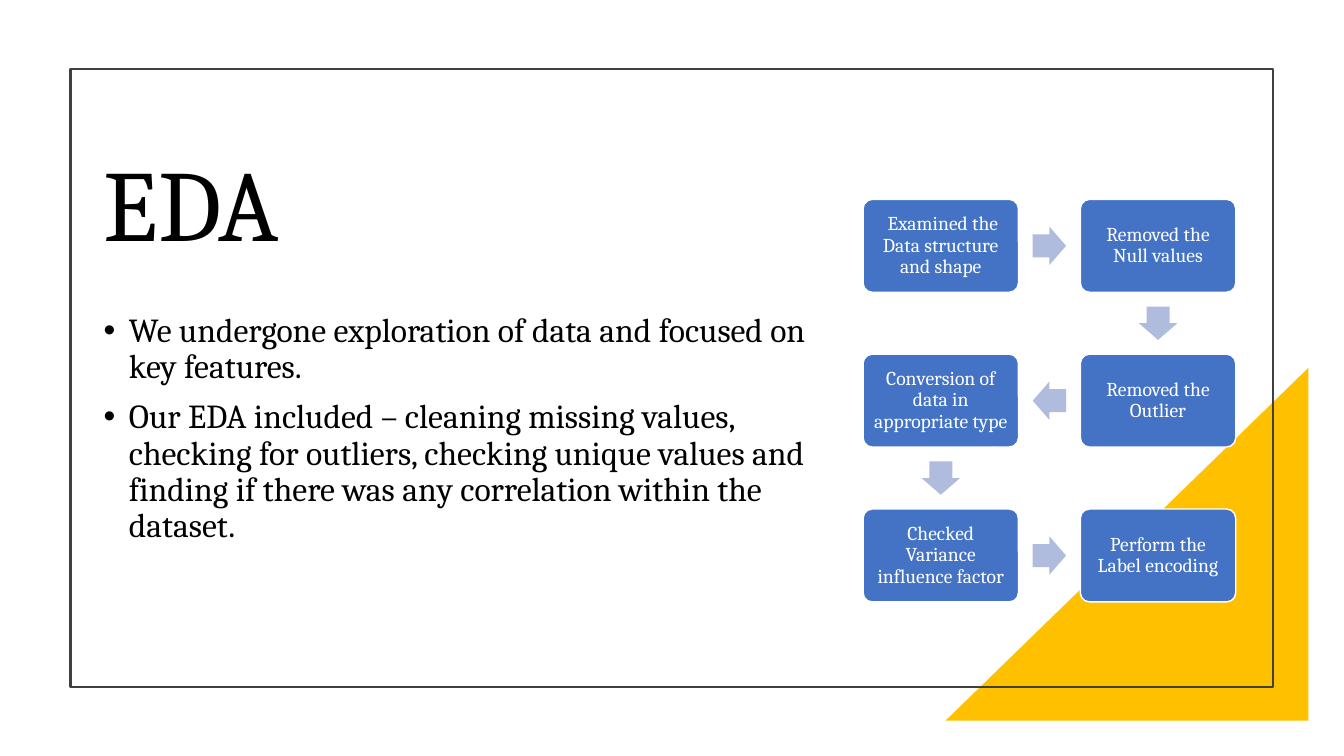
from itertools import pairwise
from pptx import Presentation
from pptx.dml.color import RGBColor
from pptx.enum.shapes import MSO_SHAPE
from pptx.enum.text import MSO_ANCHOR, PP_ALIGN
from pptx.oxml import parse_xml
from pptx.oxml.ns import nsdecls
from pptx.util import Pt


def paint(fmt, hue):
    fmt.solid()
    fmt.fore_color.rgb = RGBColor.from_string(hue)


def write(para, text, size, hue):
    para.text = text
    para.line_spacing = 0.9
    para.font.name = "Cambria"
    para.font.size = Pt(size)
    para.font.color.rgb = RGBColor.from_string(hue)


deck = Presentation()
deck.slide_width, deck.slide_height = Pt(960), Pt(540)
slide = deck.slides.add_slide(deck.slide_layouts[6])
shapes = slide.shapes

wedge = shapes.add_shape(MSO_SHAPE.RIGHT_TRIANGLE, Pt(675.4), Pt(262.8), Pt(259.2), Pt(252))
wedge.shadow.inherit = False
wedge._element.spPr.xfrm.set("flipH", "1")
paint(wedge.fill, "FFC000")
wedge.line.fill.background()

frame = shapes.add_shape(MSO_SHAPE.RECTANGLE, Pt(50.4), Pt(49.2), Pt(859), Pt(441.4))
frame.shadow.inherit = False
frame.fill.background()
paint(frame.line.fill, "404040")
frame.line.width = Pt(1.5)

title = shapes.add_textbox(Pt(67), Pt(85.7), Pt(476), Pt(127.4)).text_frame
title.word_wrap = True
title.vertical_anchor = MSO_ANCHOR.MIDDLE
write(title.paragraphs[0], "EDA", 72, "000000")

body = shapes.add_textbox(Pt(67), Pt(220.3), Pt(522), Pt(220.3)).text_frame
body.word_wrap = True
points = [
    "We undergone exploration of data and focused on key features.",
    "Our EDA included – cleaning missing values, checking for outliers, "
    "checking unique values and finding if there was any correlation within the dataset.",
]
for i, point in enumerate(points):
    para = body.add_paragraph() if i else body.paragraphs[0]
    write(para, point, 24, "000000")
    para.space_before = Pt(10)
    props = para._p.get_or_add_pPr()
    props.set("marL", str(Pt(18)))
    props.set("indent", str(-Pt(18)))
    props.append(parse_xml(f'<a:buFont {nsdecls("a")} typeface="Arial"/>'))
    props.append(parse_xml(f'<a:buChar {nsdecls("a")} char="•"/>'))
    font = props.find("{http://schemas.openxmlformats.org/drawingml/2006/main}defRPr")
    props.append(font)

steps = [
    (0, 0, " Examined the Data structure and shape"),
    (1, 0, "Removed the Null values"),
    (1, 1, "Removed the Outlier"),
    (0, 1, "Conversion of data in appropriate type"),
    (0, 2, "Checked Variance influence factor"),
    (1, 2, "Perform the Label encoding"),
]
wide, high = 111, 66.4
spots = []
for col, row, text in steps:
    left, top = 616.5 + 155.2 * col, 142.4 + 110.6 * row
    spots.append((left + wide / 2, top + high / 2))
    box = shapes.add_shape(MSO_SHAPE.ROUNDED_RECTANGLE, Pt(left), Pt(top), Pt(wide), Pt(high))
    box.shadow.inherit = False
    box.adjustments[0] = 0.1
    paint(box.fill, "4472C4")
    paint(box.line.fill, "FFFFFF")
    box.line.width = Pt(1)
    label = box.text_frame
    label.word_wrap = True
    label.vertical_anchor = MSO_ANCHOR.MIDDLE
    label.margin_left = label.margin_right = Pt(4.2)
    label.margin_top = label.margin_bottom = Pt(4.2)
    write(label.paragraphs[0], text, 14, "FFFFFF")
    label.paragraphs[0].alignment = PP_ALIGN.CENTER

long, thick = 23.8, 27.4
for (x1, y1), (x2, y2) in pairwise(spots):
    left, top = (x1 + x2 - long) / 2, (y1 + y2 - thick) / 2
    arrow = shapes.add_shape(MSO_SHAPE.RIGHT_ARROW, Pt(left), Pt(top), Pt(long), Pt(thick))
    arrow.shadow.inherit = False
    arrow.adjustments[0] = 0.6
    arrow.adjustments[1] = 0.5
    arrow.rotation = 90 if y2 > y1 else 180 if x2 < x1 else 0
    paint(arrow.fill, "B0BCDE")
    arrow.line.fill.background()

deck.save("out.pptx")
